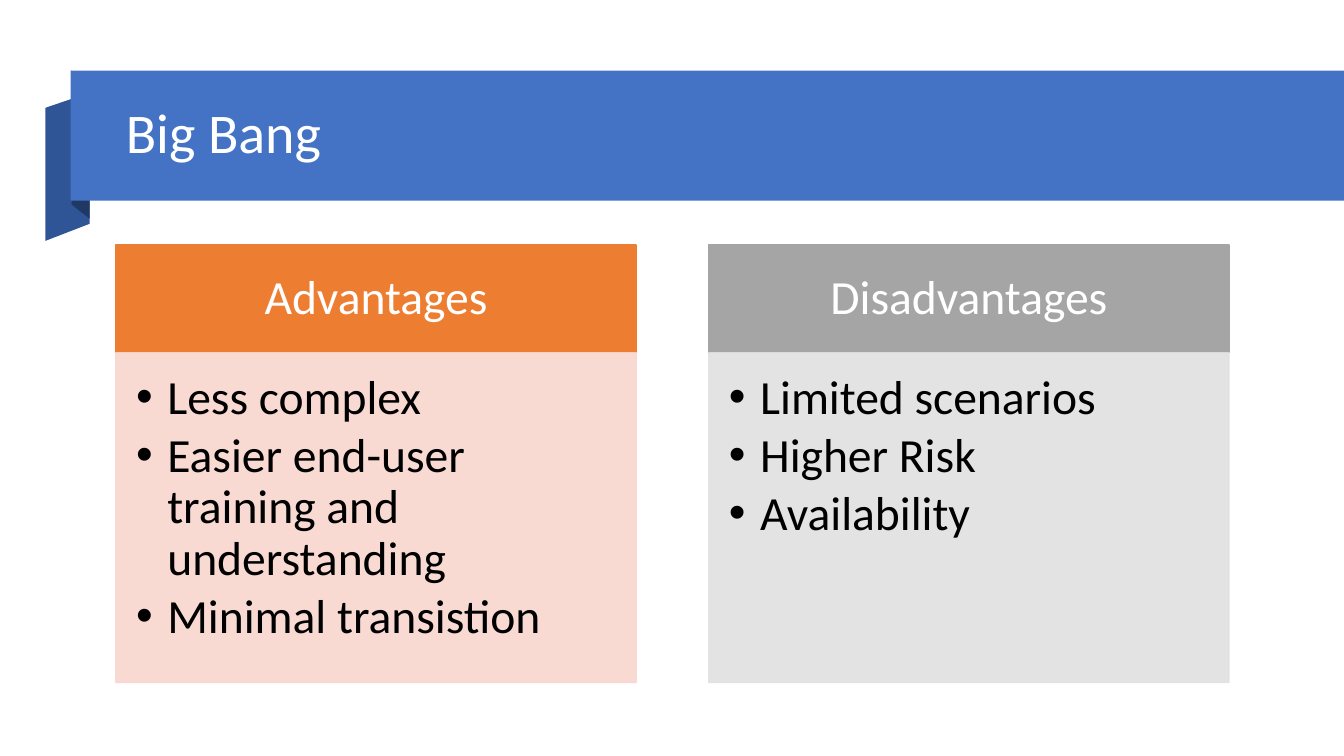
"""Build the Big Bang slide: a ribbon title above two columns of points."""
from lxml import etree
from pptx import Presentation
from pptx import util as u
from pptx.dml.color import RGBColor
from pptx.enum import shapes, text
from pptx.oxml.ns import qn

PX = 9144
FONT = "Calibri"
WHITE = RGBColor(0xFF, 0xFF, 0xFF)
BLACK = RGBColor(0, 0, 0)
BLUE = RGBColor(0x44, 0x72, 0xC4)
NAVY = RGBColor(0x2F, 0x55, 0x97)
DARK = RGBColor(0x20, 0x38, 0x64)
ORANGE = RGBColor(0xED, 0x7D, 0x31)
PEACH = RGBColor(0xF8, 0xD7, 0xCE)
GREY = RGBColor(0xA5, 0xA5, 0xA5)
PALE = RGBColor(0xE1, 0xE1, 0xE1)

LEFT, TOP, WIDE, STEP = 115, 243, 516, 588
HEAD, BODY = 107, 327
COLUMNS = [
    ("Advantages", ORANGE, PEACH,
     ["Less complex", "Easier end-user training and understanding", "Minimal transistion"]),
    ("Disadvantages", GREY, PALE,
     ["Limited scenarios", "Higher Risk", "Availability"]),
]


def px(*vals):
    """Turn px lengths into EMU."""
    return [u.Emu(val * PX) for val in vals]


def paint(shape, color, edge=False):
    """Fill a shape and give it an edge of the same colour or none."""
    shape.shadow.inherit = False
    shape.fill.solid()
    shape.fill.fore_color.rgb = color
    if edge:
        shape.line.color.rgb = color
        shape.line.width = u.Pt(1)
    else:
        shape.line.fill.background()


def fade(shape):
    """Make the fill and edge of a shape 90% opaque."""
    for tag in shape._element.spPr.iter(qn("a:srgbClr")):
        etree.SubElement(tag, qn("a:alpha"), val="90000")


def add_fold(slide, points, color):
    """Draw one folded part of the ribbon."""
    form = slide.shapes.build_freeform(*points[0], scale=PX)
    form.add_line_segments(points[1:], close=True)
    paint(form.convert_to_shape(), color)


def add_rect(slide, box, color, edge=False):
    """Draw a plain rectangle."""
    rect = slide.shapes.add_shape(shapes.MSO_SHAPE.RECTANGLE, *px(*box))
    paint(rect, color, edge)
    return rect


def set_frame(shape, inset, anchor):
    """Set wrap, insets and anchor, and return the text frame."""
    frame = shape.text_frame
    frame.word_wrap = True
    frame.vertical_anchor = anchor
    (frame.margin_left, frame.margin_top,
     frame.margin_right, frame.margin_bottom) = px(*inset)
    return frame


def add_run(para, words, size, color, align=text.PP_ALIGN.LEFT):
    """Add one styled run to a paragraph."""
    para.alignment = align
    para.line_spacing = 0.9
    run = para.add_run()
    run.text = words
    run.font.name = FONT
    run.font.size = u.Pt(size)
    run.font.color.rgb = color


def add_dot(para):
    """Give a paragraph a hanging bullet."""
    props = para._p.get_or_add_pPr()
    indent = 31 * PX
    props.set("marL", str(indent))
    props.set("indent", str(-indent))
    etree.SubElement(props, qn("a:buFont"), typeface="Arial")
    etree.SubElement(props, qn("a:buChar"), char="•")


def add_title(slide, words):
    """Draw the ribbon and its title."""
    add_fold(slide, [(89, 222), (45, 239), (45, 107), (89, 92)], NAVY)
    add_fold(slide, [(89, 217), (71, 203), (71, 70), (89, 85)], DARK)
    add_rect(slide, (70, 70, 1263, 129), BLUE)
    box = slide.shapes.add_textbox(*px(115, 86, 1127, 96))
    frame = set_frame(box, (10, 5, 10, 5), text.MSO_ANCHOR.MIDDLE)
    add_run(frame.paragraphs[0], words, 40, WHITE)


def add_column(slide, left, head, dark, light, points):
    """Draw a heading block above its bulleted points."""
    top = add_rect(slide, (left, TOP, WIDE, HEAD), dark, True)
    frame = set_frame(top, (26, 15, 26, 15), text.MSO_ANCHOR.MIDDLE)
    add_run(frame.paragraphs[0], head, 34, WHITE, text.PP_ALIGN.CENTER)

    body = add_rect(slide, (left, TOP + HEAD, WIDE, BODY), light, True)
    fade(body)
    frame = set_frame(body, (20, 20, 26, 30), text.MSO_ANCHOR.TOP)
    for num, point in enumerate(points):
        para = frame.add_paragraph() if num else frame.paragraphs[0]
        para.level = 1
        add_dot(para)
        para.space_after = u.Pt(5)
        add_run(para, point, 34, BLACK)


def main():
    """Build and save the slide."""
    deck = Presentation()
    deck.slide_width, deck.slide_height = px(1333, 750)
    slide = deck.slides.add_slide(deck.slide_layouts[6])
    add_title(slide, "Big Bang")
    for num, column in enumerate(COLUMNS):
        add_column(slide, LEFT + num * STEP, *column)
    deck.save("out.pptx")


if __name__ == "__main__":
    main()
